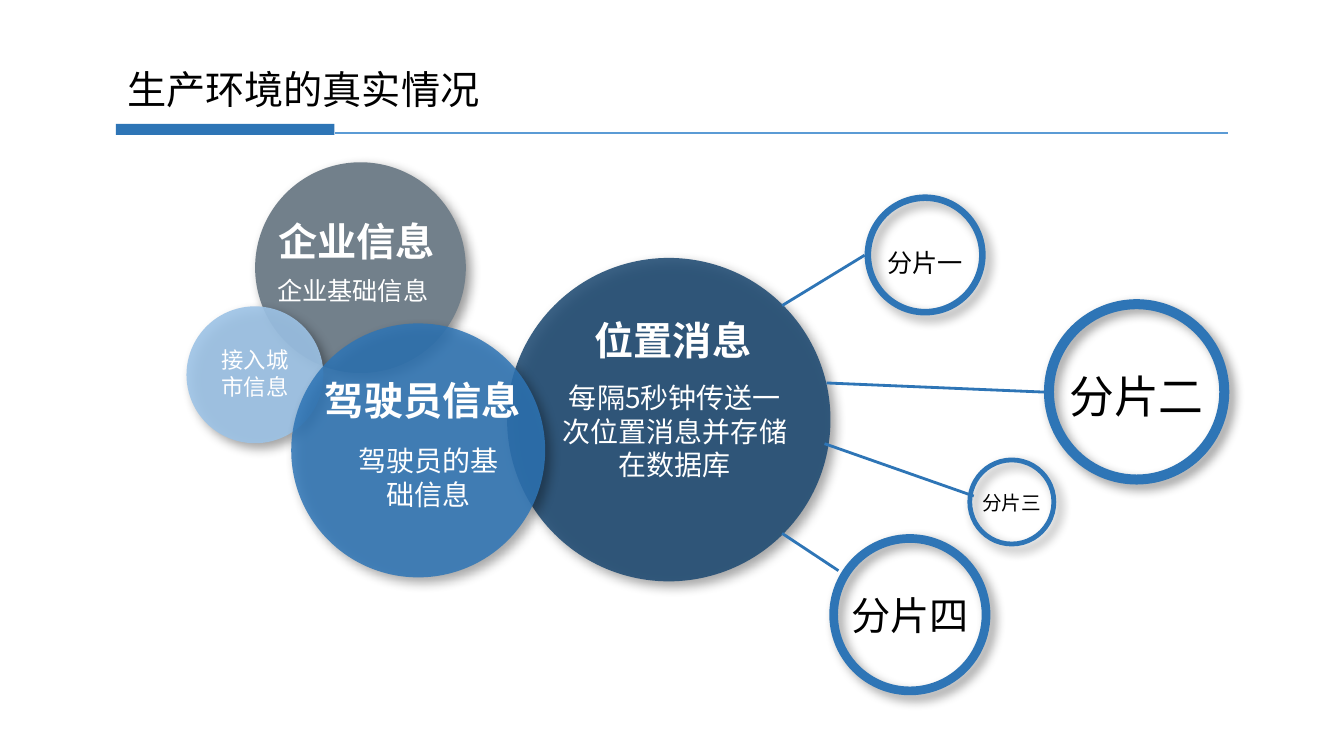
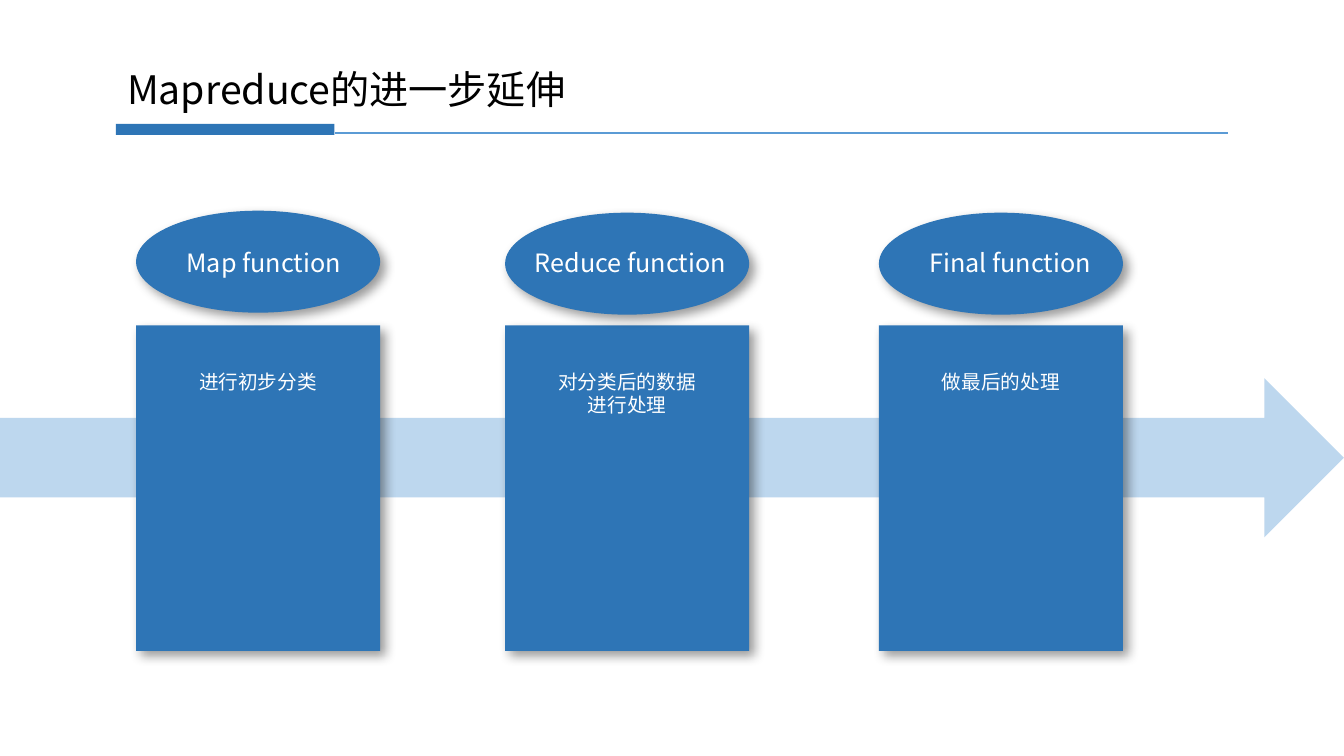
"""Build two slides: sharded production data and the MapReduce steps."""
from lxml.etree import SubElement
from pptx import Presentation
from pptx.dml.color import RGBColor
from pptx.enum.shapes import MSO_CONNECTOR, MSO_SHAPE
from pptx.enum.text import MSO_ANCHOR, MSO_AUTO_SIZE, PP_ALIGN
from pptx.oxml.ns import qn
from pptx.util import Cm, Pt

FONT = "Noto Sans CJK SC"
BLACK = RGBColor(0x00, 0x00, 0x00)
WHITE = RGBColor(0xFF, 0xFF, 0xFF)
GREY = RGBColor(0x72, 0x80, 0x8B)
NAVY = RGBColor(0x1E, 0x4A, 0x72)
BLUE = RGBColor(0x2E, 0x75, 0xB6)
RULE = RGBColor(0x5B, 0x9B, 0xD5)
SKY = RGBColor(0x9D, 0xC3, 0xE6)
PALE = RGBColor(0xBD, 0xD7, 0xEE)

SLIDE_W, SLIDE_H = 33.87, 19.05

TITLES = ["生产环境的真实情况", "Mapreduce的进一步延伸"]

HEAD = {"size": Pt(28), "bold": True}
# left, top, diameter, colour, opacity
BUBBLES = [
    (6.43, 4.09, 5.31, GREY, 100),
    (4.7, 7.72, 3.45, SKY, 90),
    (12.78, 6.5, 8.15, NAVY, 87),
    (7.34, 8.15, 6.4, BLUE, 85),
]
BUBBLE_TEXTS = [
    ("接入城市信息", (5.16, 8.61, 2.54, 1.63), {"size": Pt(16)}),
    ("企业信息", (6.73, 5.36, 4.5, 1.45), HEAD),
    ("企业基础信息", (6.2, 6.81, 5.38, 1.02), {"size": Pt(18)}),
    ("位置消息", (14.71, 7.85, 4.5, 1.45), HEAD),
    ("每隔5秒钟传送一次位置消息并存储在数据库", (13.77, 9.47, 6.48, 2.82), {"size": Pt(20)}),
    ("驾驶员信息", (7.9, 9.37, 5.51, 1.45), HEAD),
    ("驾驶员的基础信息", (8.59, 11.05, 4.42, 1.96), {"size": Pt(20)}),
]
# name, left, top, diameter, text top, text size, link from, link to
SHARDS = [
    ("分片一", 21.79, 4.9, 3.05, 6.1, 18, (19.71, 7.7), (21.79, 6.43)),
    ("分片二", 26.31, 7.54, 4.67, 9.17, 32, (20.83, 9.65), (26.31, 9.88)),
    ("分片三", 24.38, 11.53, 2.24, 12.24, 14, (20.78, 11.18), (24.54, 12.5)),
    ("分片四", 20.9, 13.46, 4.06, 14.78, 28, (19.71, 13.44), (21.13, 14.38)),
]

STEP_W, STEP_H, OVAL_H = 6.15, 8.2, 2.57
STEP_TOP, NOTE_TOP, NOTE_INSET = 8.2, 9.19, 0.88
# label, note, left, oval top, label shift, label top
STEPS = [
    ("Map function", "进行初步分类", 3.43, 5.31, 0.14, 6.12),
    ("Reduce function", "对分类后的数据进行处理", 12.73, 5.36, 0.08, 6.1),
    ("Final function", "做最后的处理", 22.15, 5.36, 0.23, 6.12),
]


def write(tf, text, fmt, color=WHITE, align=PP_ALIGN.CENTER, wrap=True):
    tf.auto_size = MSO_AUTO_SIZE.NONE
    tf.vertical_anchor = MSO_ANCHOR.TOP
    tf.word_wrap = wrap
    p = tf.paragraphs[0]
    p.alignment = align
    r = p.add_run()
    r.text = text
    for name, value in {"name": FONT, "bold": False, **fmt}.items():
        setattr(r.font, name, value)
    r.font.color.rgb = color
    SubElement(r.font._element, qn("a:ea"), typeface=FONT)


def add_text(s, text, box, fmt, **options):
    sp = s.shapes.add_textbox(*map(Cm, box))
    write(sp.text_frame, text, fmt, **options)


def add_shape(s, kind, box, color, opacity=100, shadow=True):
    sp = s.shapes.add_shape(kind, *map(Cm, box))
    sp.fill.solid()
    sp.fill.fore_color.rgb = color
    sp.line.fill.background()
    sp.shadow.inherit = False
    if opacity < 100:
        clr = sp._element.spPr.find(qn("a:solidFill"))[0]
        SubElement(clr, qn("a:alpha"), val=str(opacity * 1000))
    if shadow:
        effects = sp._element.spPr.find(qn("a:effectLst"))
        outer = SubElement(effects, qn("a:outerShdw"), blurRad=str(Pt(8)), dist=str(Pt(5)),
                           dir=str(45 * 60000), algn="tl", rotWithShape="0")
        clr = SubElement(outer, qn("a:srgbClr"), val=str(BLACK))
        SubElement(clr, qn("a:alpha"), val="40000")
    return sp


def add_line(s, start, end, color, width=2):
    line = s.shapes.add_connector(MSO_CONNECTOR.STRAIGHT, *map(Cm, start + end))
    line.line.color.rgb = color
    line.line.width = Pt(width)
    SubElement(line._element.spPr, qn("a:effectLst"))


def new_slide(prs, title):
    s = prs.slides.add_slide(prs.slide_layouts[5])
    sp = s.shapes.title
    sp.left, sp.top, sp.width, sp.height = map(Cm, (2.95, 1.52, 27.99, 1.45))
    write(sp.text_frame, title, {"size": Pt(28)}, color=BLACK, align=PP_ALIGN.LEFT)
    add_shape(s, MSO_SHAPE.RECTANGLE, (2.92, 3.12, 5.51, 0.28), BLUE, shadow=False)
    add_line(s, (8.43, 3.35), (30.94, 3.35), RULE)
    return s


def build_shards(s):
    for left, top, size, color, opacity in BUBBLES:
        add_shape(s, MSO_SHAPE.OVAL, (left, top, size, size), color, opacity)
    for text, box, fmt in BUBBLE_TEXTS:
        add_text(s, text, box, fmt, wrap=fmt is not HEAD)
    for name, left, top, size, text_top, pt, start, end in SHARDS:
        ring = add_shape(s, MSO_SHAPE.DONUT, (left, top, size, size), BLUE)
        ring.adjustments[0] = 0.054
        add_line(s, start, end, BLUE)
        add_text(s, name, (left, text_top, size, 1.45), {"size": Pt(pt)}, color=BLACK, wrap=False)


def build_steps(s):
    add_shape(s, MSO_SHAPE.RIGHT_ARROW, (0, 9.53, SLIDE_W, 4.01), PALE, shadow=False)
    for label, note, left, oval_top, shift, label_top in STEPS:
        add_shape(s, MSO_SHAPE.RECTANGLE, (left, STEP_TOP, STEP_W, STEP_H), BLUE)
        add_shape(s, MSO_SHAPE.OVAL, (left, oval_top, STEP_W, OVAL_H), BLUE)
        add_text(s, label, (left + shift, label_top, STEP_W, 1.02), {"size": Pt(18)}, wrap=False)
        note_box = (left + NOTE_INSET, NOTE_TOP, STEP_W - 2 * NOTE_INSET, 2.06)
        add_text(s, note, note_box, {"size": Pt(14)})


def main():
    prs = Presentation()
    prs.slide_width, prs.slide_height = Cm(SLIDE_W), Cm(SLIDE_H)
    for title, build in zip(TITLES, (build_shards, build_steps)):
        build(new_slide(prs, title))
    prs.save("out.pptx")


if __name__ == "__main__":
    main()
